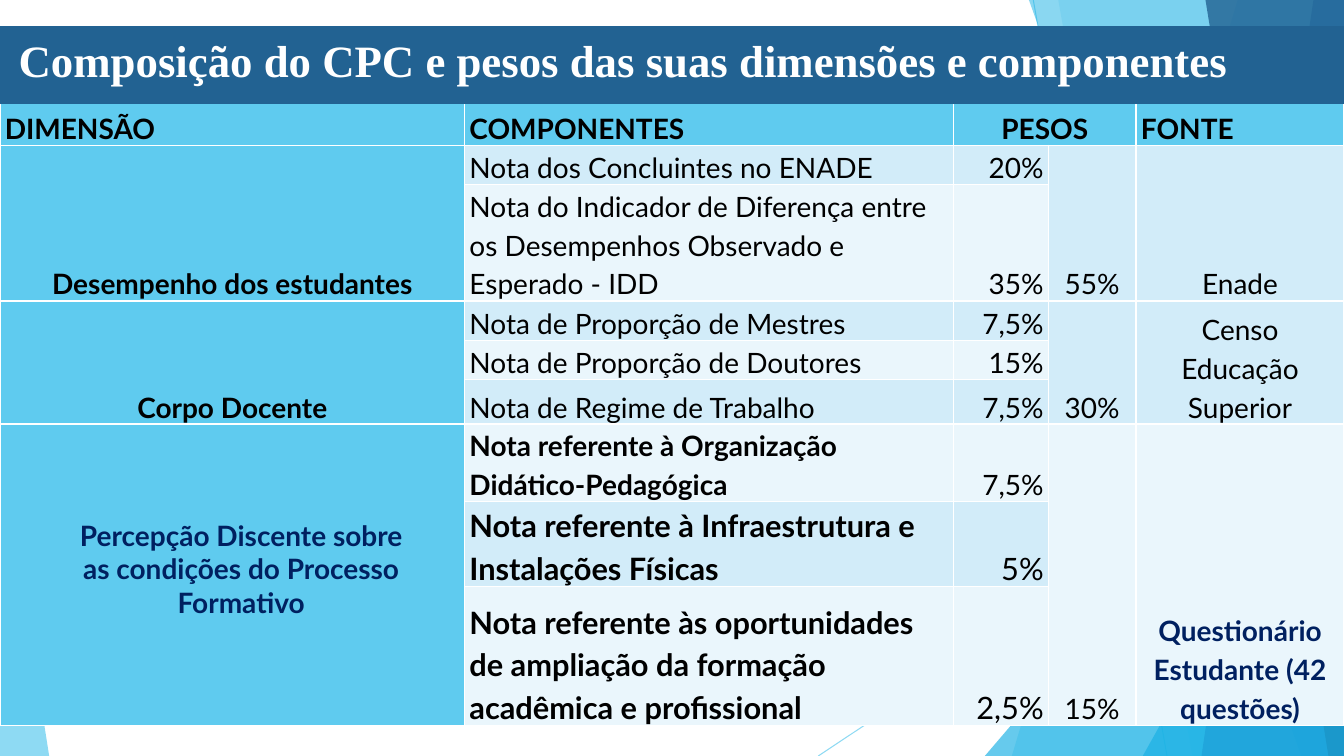
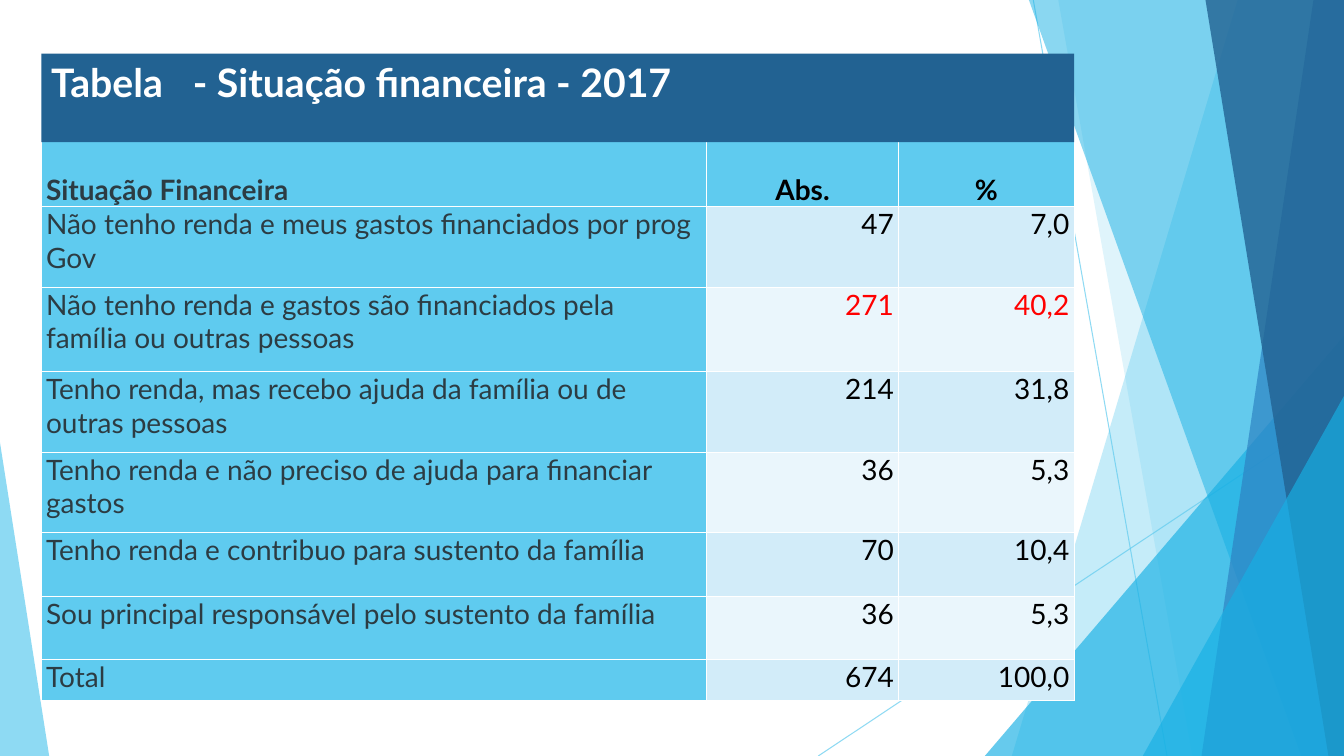
from lxml import etree
from pptx import Presentation
from pptx.dml.color import RGBColor
from pptx.enum.shapes import MSO_CONNECTOR, MSO_SHAPE
from pptx.enum.text import MSO_ANCHOR, MSO_AUTO_SIZE, PP_ALIGN
from pptx.oxml.ns import qn
from pptx.util import Cm, Pt

LEFT, CENTER, RIGHT = PP_ALIGN.LEFT, PP_ALIGN.CENTER, PP_ALIGN.RIGHT
TOP, MIDDLE, BOTTOM = MSO_ANCHOR.TOP, MSO_ANCHOR.MIDDLE, MSO_ANCHOR.BOTTOM
STRAIGHT, TRIANGLE = MSO_CONNECTOR.STRAIGHT, MSO_SHAPE.ISOSCELES_TRIANGLE

WIDTH, HEIGHT = 33.87, 19.05
SKY, AZURE, BLUE, NAVY = "5FCBEF", "17B0E4", "2E83C3", "226292"
BANDS = ("EAF6FC", "D2ECF9")
BLACK, WHITE, SLATE, INDIGO, RED = "000000", "FFFFFF", "2C3C43", "002060", "FF0000"


def fill(obj, color):
    obj.fill.solid()
    obj.fill.fore_color.rgb = RGBColor.from_string(color)


def add_run(p, text, size=20, color=BLACK, bold=False, font="Lato"):
    r = p.add_run()
    r.text = text
    r.font.name, r.font.size, r.font.bold = font, Pt(size), bold
    fill(r.font, color)


prs = Presentation()
prs.slide_width, prs.slide_height = Cm(WIDTH), Cm(HEIGHT)
layout = prs.slide_layouts[5]
for ph in list(layout.placeholders):
    if ph.placeholder_format.idx:
        ph.element.getparent().remove(ph.element)
slides = [prs.slides.add_slide(layout) for _ in range(2)]

# Shared backdrop: drawn once, then moved to the layout
backdrop = slides[0].shapes.add_group_shape()
rays = [(26.04, 0, 29.41, HEIGHT), (WIDTH, 10.24, 20.62, HEIGHT)]
# Panels reach the right edge (top x, bottom x); triangles have left, top, width, apex
facets = [
    ((31.19, 25.5), SKY, 36),
    ((26.67, 30.05), SKY, 20),
    ((24.82, 8.46, 9.05, 1), AZURE, 66),
    ((25.93, 32.79), AZURE, 50),
    ((33.1, 30.28), BLUE, 70),
    ((30.38, 33.48), NAVY, 80),
    ((28.8, 9.98, 5.07, 1), AZURE, 66),
    ((0, 11.15, 1.24, 0), SKY, 70),
]
pieces = []
for ray in rays:
    line = backdrop.shapes.add_connector(STRAIGHT, *[Cm(v) for v in ray])
    fill(line.line, SKY)
    line.line.width = Pt(0.75)
    etree.SubElement(line.element.spPr, qn("a:effectLst"))
    pieces.append((line, 70))
for geometry, color, opacity in facets:
    if len(geometry) == 2:
        x_top, x_bottom = geometry
        builder = backdrop.shapes.build_freeform(Cm(x_top), 0)
        corners = [(WIDTH, 0), (WIDTH, HEIGHT), (x_bottom, HEIGHT)]
        builder.add_line_segments([(Cm(x), Cm(y)) for x, y in corners], close=True)
        shape = builder.convert_to_shape()
    else:
        x, y, w, apex = geometry
        shape = backdrop.shapes.add_shape(TRIANGLE, Cm(x), Cm(y), Cm(w), Cm(HEIGHT - y))
        shape.adjustments[0] = apex
    fill(shape, color)
    shape.line.fill.background()
    shape.shadow.inherit = False
    pieces.append((shape, opacity))
for piece, opacity in pieces:
    for clr in piece.element.iter(qn("a:srgbClr")):
        etree.SubElement(clr, qn("a:alpha"), val=str(opacity * 1000))
layout.shapes.element.insert(2, backdrop.element)

# Cell styles are keyed by (row, column); None marks a cell covered by a merge
cpc = {
    "title": "Composição do CPC e pesos das suas dimensões e componentes",
    "title_font": {"size": 32, "font": "Times New Roman"},
    "title_box": (0, 0.66, WIDTH, 1.96),
    "title_insets": (0.47, 0.13, 0.25, 0.43),
    "title_anchor": MIDDLE,
    "at": (0, 2.57),
    "cols": (11.71, 12.32, 2.39, 2.21, 5.24),
    "heights": (1.09, 0.99, 2.93, 0.99, 0.99, 1.12, 1.95, 2.14, 3.5),
    "head_align": (LEFT, LEFT, CENTER, CENTER, LEFT),
    "body_align": (CENTER, LEFT, RIGHT, CENTER, CENTER),
    "anchor": BOTTOM,
    "spacing": 1.15,
    "merges": [(0, 2, 0, 3)] + [(a, c, b, c) for a, b in ((1, 2), (3, 5), (6, 8))
                                for c in (0, 3, 4)],
    "rows": [
        ("DIMENSÃO", "COMPONENTES", "PESOS", None, "FONTE"),
        ("Desempenho dos estudantes", "Nota dos Concluintes no ENADE", "20%", "55%", "Enade"),
        (None, "Nota do Indicador de Diferença entre os Desempenhos Observado e Esperado - IDD",
         "35%", None, None),
        ("Corpo Docente", "Nota de Proporção de Mestres", "7,5%", "30%",
         "Censo Educação Superior"),
        (None, "Nota de Proporção de Doutores", "15%", None, None),
        (None, "Nota de Regime de Trabalho", "7,5%", None, None),
        (None, "Nota referente à Organização Didático-Pedagógica", "7,5%", "15%",
         "Questionário Estudante (42 questões)"),
        (None, "Nota referente à Infraestrutura e Instalações Físicas", "5%", None, None),
        (None, "Nota referente às oportunidades de ampliação da formação acadêmica e profissional",
         "2,5%", None, None),
    ],
    "styles": {
        (1, 0): {"bold": True},
        (3, 0): {"bold": True},
        (6, 1): {"bold": True},
        (6, 4): {"bold": True, "color": INDIGO},
        **{(row, 1): {"bold": True, "size": 22} for row in (7, 8)},
        **{(row, 2): {"size": 22} for row in (7, 8)},
    },
}
finance = {
    "title": "Tabela\t- Situação financeira - 2017",
    "title_font": {"size": 28},
    "title_box": (1.04, 1.35, 26.03, 2.23),
    "title_insets": (0.25, 0.13, 0.25, 0.13),
    "title_anchor": TOP,
    "at": (1.04, 3.56),
    "cols": (16.76, 4.85, 4.42),
    "heights": (1.65, 2.03, 2.13, 2.03, 2.03, 1.6, 1.6, 1.02),
    "head_align": (LEFT, CENTER, CENTER),
    "body_align": (LEFT, RIGHT, RIGHT),
    "anchor": TOP,
    "spacing": 1.0,
    "merges": [],
    "rows": [
        ("Situação Financeira", "Abs.", "%"),
        ("Não tenho renda e meus gastos financiados por prog Gov", "47", "7,0"),
        ("Não tenho renda e gastos são financiados pela família ou outras pessoas",
         "271", "40,2"),
        ("Tenho renda, mas recebo ajuda da família ou de outras pessoas", "214", "31,8"),
        ("Tenho renda e não preciso de ajuda para financiar gastos", "36", "5,3"),
        ("Tenho renda e contribuo para sustento da família", "70", "10,4"),
        ("Sou principal responsável pelo sustento da família", "36", "5,3"),
        ("Total", "674", "100,0"),
    ],
    "styles": {
        **{(row, 0): {"color": SLATE} for row in range(8)},
        **{(2, col): {"color": RED} for col in (1, 2)},
    },
}

for s, spec in zip(slides, (cpc, finance)):
    x, y = spec["at"]
    rows, cols, heights = spec["rows"], spec["cols"], spec["heights"]
    table = s.shapes.add_table(len(rows), len(cols), Cm(x), Cm(y),
                               Cm(sum(cols)), Cm(sum(heights))).table
    for column, width in zip(table.columns, cols):
        column.width = Cm(width)
    for row, height in zip(table.rows, heights):
        row.height = Cm(height)
    for top, left, bottom, right in spec["merges"]:
        table.cell(top, left).merge(table.cell(bottom, right))
    for i, texts in enumerate(rows):
        for j, text in enumerate(texts):
            cell = table.cell(i, j)
            fill(cell, SKY if i == 0 or j == 0 else BANDS[i % 2])
            if text is None:
                continue
            cell.margin_left = cell.margin_right = Cm(0.12)
            cell.margin_top = cell.margin_bottom = 0
            cell.vertical_anchor = spec["anchor"] if i else BOTTOM
            p = cell.text_frame.paragraphs[0]
            p.alignment = spec["body_align" if i else "head_align"][j]
            p.line_spacing = spec["spacing"]
            add_run(p, text, **{"bold": i == 0, **spec["styles"].get((i, j), {})})

    title = s.shapes.title
    title.left, title.top, title.width, title.height = [Cm(v) for v in spec["title_box"]]
    fill(title, NAVY)
    tf = title.text_frame
    tf.word_wrap, tf.auto_size = True, MSO_AUTO_SIZE.NONE
    tf.vertical_anchor = spec["title_anchor"]
    tf.margin_left, tf.margin_top, tf.margin_right, tf.margin_bottom = [
        Cm(v) for v in spec["title_insets"]]
    p = tf.paragraphs[0]
    p.alignment = LEFT
    if "\t" in spec["title"]:
        tabs = etree.SubElement(p._p.get_or_add_pPr(), qn("a:tabLst"))
        etree.SubElement(tabs, qn("a:tab"), pos=str(Cm(3.57)), algn="l")
    add_run(p, spec["title"], color=WHITE, bold=True, **spec["title_font"])
    s.shapes.element.append(title.element)  # the band lies over the table

# Label over the merged cell of the third dimension
tf = slides[0].shapes.add_textbox(Cm(0.48), Cm(12.93), Cm(11.2), Cm(2.8)).text_frame
tf.word_wrap = True
for i, text in enumerate(("Percepção Discente sobre", "as condições do Processo Formativo")):
    p = tf.add_paragraph() if i else tf.paragraphs[0]
    p.alignment = CENTER
    add_run(p, text, color=INDIGO, bold=True)

prs.save("out.pptx")
